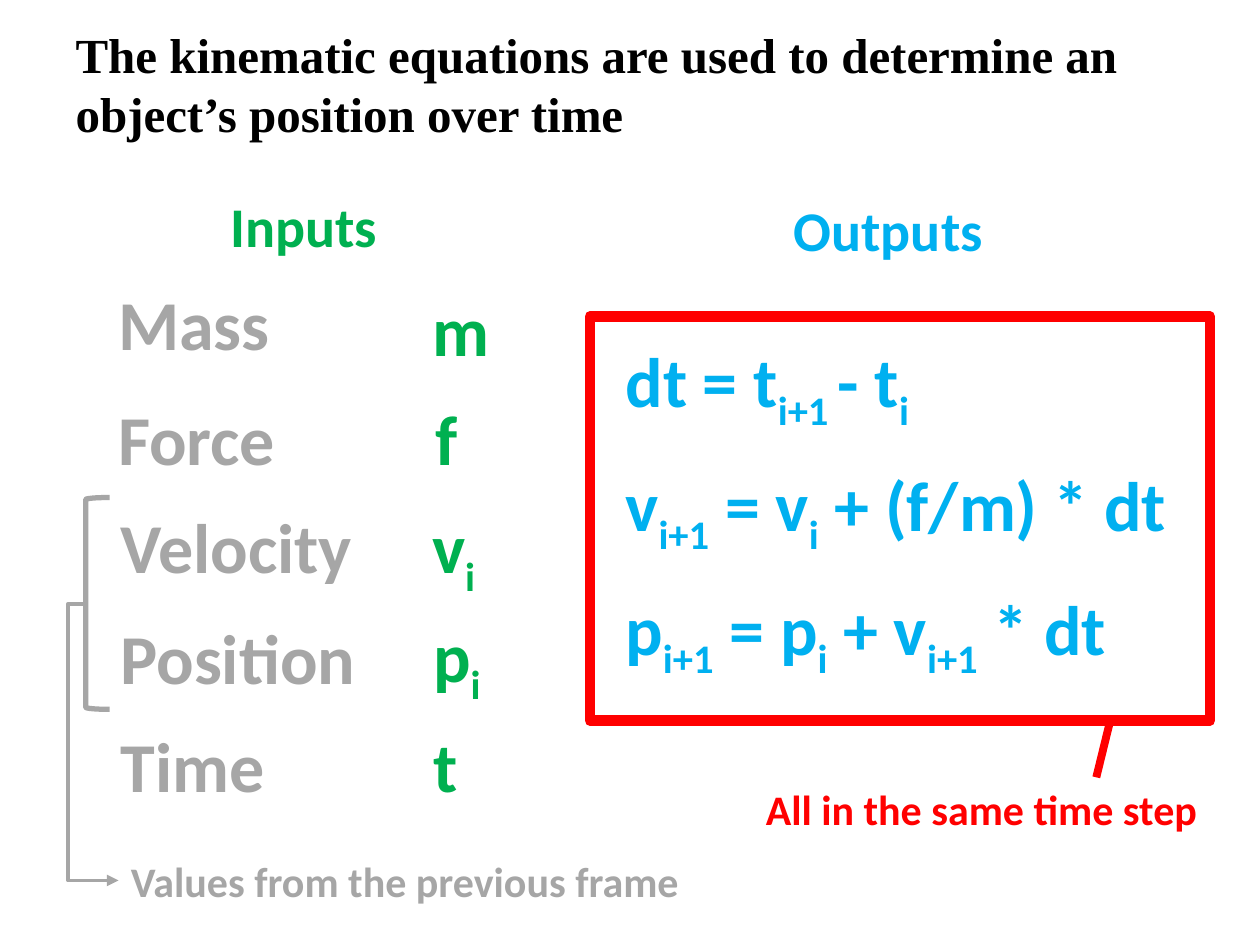
from lxml.etree import SubElement
from pptx import Presentation
from pptx.dml.color import RGBColor
from pptx.enum.shapes import MSO_CONNECTOR as CONN, MSO_SHAPE as SHAPE
from pptx.enum.text import MSO_ANCHOR as ANCHOR, MSO_AUTO_SIZE as AUTO, PP_ALIGN as ALIGN
from pptx.oxml.ns import qn
from pptx.util import Cm, Pt

BLACK = RGBColor(0, 0, 0)
GREEN = RGBColor(0x00, 0xB0, 0x50)
BLUE = RGBColor(0x00, 0xB0, 0xF0)
GRAY = RGBColor(0xA6, 0xA6, 0xA6)
RED = RGBColor(0xFF, 0, 0)

# name, its left, top and width; symbol, its left, top and width
INPUTS = [
    ("Mass", 0.86, 1.81, 3.61, "m", 7.19, 1.93, 1.68),
    ("Force", 0.86, 4.12, 3.71, "f", 7.26, 4.12, 0.97),
    ("Velocity", 0.91, 6.3, 5.23, "v|i", 7.19, 6.3, 1.42),
    ("Position", 0.91, 8.54, 5.31, "p|i", 7.21, 8.49, 1.5),
    ("Time", 0.91, 10.72, 3.45, "t", 7.21, 10.72, 1.02),
]
EQUATIONS = [
    ("dt = t|i+1 |- t|i", 7.09),
    ("v|i+1| = v|i| + (f/m) * dt", 11.81),
    ("p|i+1| = p|i| + v|i+1| * dt", 10.62),
]


def write(tf, text, size=40, color=GRAY, font="Calibri", wrap=False):
    """Write bold text; every second part between bars is a subscript."""
    tf.word_wrap = wrap
    tf.vertical_anchor = ANCHOR.TOP
    p = tf.paragraphs[0]
    p.alignment = ALIGN.LEFT
    for i, part in enumerate(text.split("|")):
        r = p.add_run()
        r.text = part
        r.font.name, r.font.size, r.font.bold = font, Pt(size), True
        r.font.color.rgb = color
        if i % 2:
            r.font._element.set("baseline", "-25000")


def add_text(s, x, y, w, h, text, **fmt):
    tf = s.shapes.add_textbox(Cm(x), Cm(y), Cm(w), Cm(h)).text_frame
    write(tf, text, **fmt)
    tf.auto_size = AUTO.SHAPE_TO_FIT_TEXT


def add_outline(s, kind, x, y, w, h, color, width):
    sp = s.shapes.add_shape(kind, Cm(x), Cm(y), Cm(w), Cm(h))
    sp.shadow.inherit = False
    sp.fill.background()
    sp.line.color.rgb = color
    sp.line.width = Pt(width)
    return sp


def add_line(s, kind, x1, y1, x2, y2, color, width):
    c = s.shapes.add_connector(kind, Cm(x1), Cm(y1), Cm(x2), Cm(y2))
    c.line.color.rgb = color
    c.line.width = Pt(width)
    SubElement(c._element.spPr, qn("a:effectLst"))
    return c


def add_title(s, x, y, w, h):
    title = s.shapes.title
    title.left, title.top, title.width, title.height = Cm(x), Cm(y), Cm(w), Cm(h)
    title.text_frame.auto_size = AUTO.NONE
    write(title.text_frame,
          "The kinematic equations are used to determine an object’s position over time",
          size=28, color=BLACK, font="Times New Roman", wrap=True)


def add_inputs(s, x, y):
    add_text(s, x + 3.12, y, 3.51, 1.63, "Inputs", size=32, color=GREEN)
    for name, nx, ny, nw, symbol, sx, sy, sw in INPUTS:
        add_text(s, x + nx, y + ny, nw, 1.96, name)
        add_text(s, x + sx, y + sy, sw, 1.96, symbol, color=GREEN)


def add_previous_frame(s, x, y):
    """Bracket two inputs and lead an arrow to the note below them."""
    bracket = add_outline(s, SHAPE.RIGHT_BRACKET, x, y, 0.48, 4.27, GRAY, 3)
    bracket._element.spPr.find(qn("a:xfrm")).set("flipH", "1")
    arrow = add_line(s, CONN.ELBOW, x, y + 2.14, x + 0.66, y + 7.72, GRAY, 2.25)
    guides = arrow._element.spPr.find(qn("a:prstGeom")).find(qn("a:avLst"))
    SubElement(guides, qn("a:gd"), name="adj1", fmla="val -53700")
    SubElement(arrow.line._get_or_add_ln(), qn("a:tailEnd"), type="triangle")
    add_text(s, x + 0.66, y + 7.09, 11.63, 1.27, "Values from the previous frame",
             size=24, wrap=True)


def add_outputs(s, x, y):
    add_text(s, x + 3.86, y + 0.08, 4.37, 1.63, "Outputs", size=32, color=BLUE)
    for i, (equation, w) in enumerate(EQUATIONS):
        add_text(s, x + 0.47, y + 2.95 + 2.5 * i, w, 1.96, equation, color=BLUE)
    add_outline(s, SHAPE.RECTANGLE, x, y + 2.65, 12.5, 8.15, RED, 6)
    add_text(s, x + 3.3, y + 11.94, 9.3, 1.27, "All in the same time step",
             size=24, color=RED)
    add_line(s, CONN.STRAIGHT, x + 10.51, y + 10.72, x + 10.21, y + 11.94, RED, 4.5)


def main():
    prs = Presentation()
    prs.slide_width, prs.slide_height = Cm(25.4), Cm(19.05)
    s = prs.slides.add_slide(prs.slide_layouts[5])
    add_title(s, 1.27, 0.36, 23.6, 2.64)
    add_inputs(s, 1.27, 3.73)
    add_previous_frame(s, 1.73, 10.03)
    add_outputs(s, 11.89, 3.73)
    prs.save("out.pptx")


if __name__ == "__main__":
    main()
